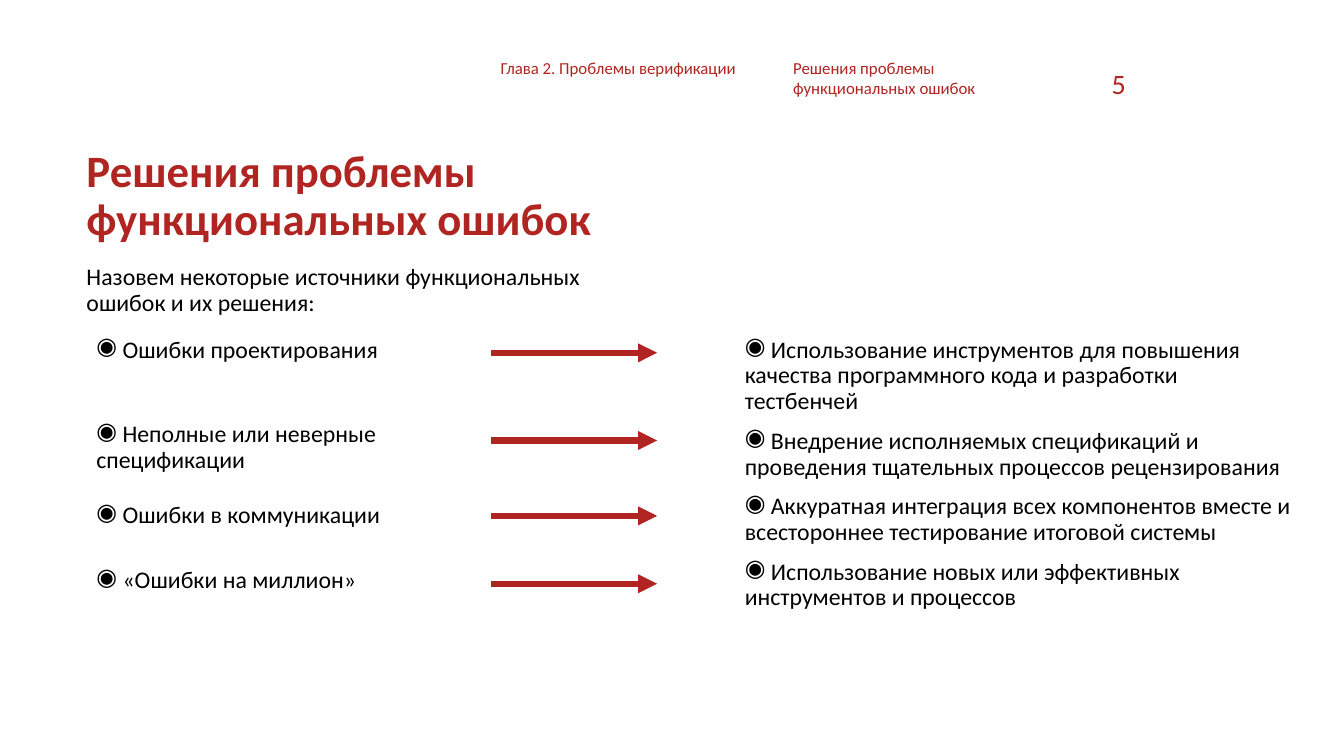
from lxml import etree
from pptx import Presentation
from pptx.dml.color import RGBColor
from pptx.enum.shapes import MSO_CONNECTOR as Connector
from pptx.enum.text import MSO_ANCHOR as Anchor, PP_ALIGN as Align
from pptx.oxml.ns import qn
from pptx.util import Cm, Pt

COLORS = {"accent": "B02521", "text": "000000"}

# Each cause: its lines and the space before it in points
CAUSES = [
    (["Ошибки проектирования"], 0),
    (["Неполные или неверные", "спецификации"], 42),
    (["Ошибки в коммуникации"], 21),
    (["«Ошибки на миллион»"], 28),
]
SOLUTIONS = [
    "Использование инструментов для повышения качества программного кода "
    "и разработки тестбенчей",
    "Внедрение исполняемых спецификаций и проведения тщательных процессов "
    "рецензирования",
    "Аккуратная интеграция всех компонентов вместе и всестороннее "
    "тестирование итоговой системы",
    "Использование новых или эффективных инструментов и процессов",
]
ARROW_ROWS = [8.89, 11.1, 13.0, 14.71]
TITLE = "Решения проблемы функциональных ошибок"


class SlideBuilder:
    """Adds elements in one style to a slide; lengths are in centimetres."""

    font = "Calibri"
    body_size = 17
    line_spacing = 0.9

    def __init__(self, slide):
        self.s = slide

    def frame(self, x, y, w, h, anchor=Anchor.TOP, inset_y=0.13):
        tf = self.s.shapes.add_textbox(Cm(x), Cm(y), Cm(w), Cm(h)).text_frame
        tf.word_wrap = True
        tf.vertical_anchor = anchor
        tf.margin_left = tf.margin_right = Cm(0.25)
        tf.margin_top = tf.margin_bottom = Cm(inset_y)
        return tf

    def run(self, p, text, size, color, bold=False):
        r = p.add_run()
        r.text = text
        r.font.name = self.font
        r.font.size = Pt(size)
        r.font.bold = bold
        r.font.color.rgb = RGBColor.from_string(COLORS[color])

    def text(self, box, text, size, color="accent", bold=False,
             spacing=1.0, align=Align.LEFT, **frame_options):
        p = self.frame(*box, **frame_options).paragraphs[0]
        p.alignment = align
        p.line_spacing = spacing
        self.run(p, text, size, color, bold)

    def bullet(self, p):
        pPr = p._p.get_or_add_pPr()
        pPr.set("marL", "0")
        pPr.set("indent", str(-Cm(0.3)))
        color = etree.SubElement(pPr, qn("a:buClr"))
        etree.SubElement(color, qn("a:srgbClr"), val=COLORS["text"])
        etree.SubElement(pPr, qn("a:buChar"), char="◉")

    def bullets(self, box, items):
        """Fill a box with (lines, space before) items."""
        tf = self.frame(*box)
        for i, (lines, before) in enumerate(items):
            p = tf.add_paragraph() if i else tf.paragraphs[0]
            self.bullet(p)
            p.line_spacing = self.line_spacing
            if before:
                p.space_before = Pt(before)
            for j, line in enumerate(lines):
                if j:
                    p.add_line_break()
                self.run(p, line if j else " " + line, self.body_size, "text")

    def arrow(self, x1, x2, y):
        c = self.s.shapes.add_connector(
            Connector.STRAIGHT, Cm(x1), Cm(y), Cm(x2), Cm(y))
        c.line.width = Pt(4.5)
        c.line.color.rgb = RGBColor.from_string(COLORS["accent"])
        etree.SubElement(c.line._get_or_add_ln(), qn("a:tailEnd"),
                         type="triangle")
        etree.SubElement(c._element.spPr, qn("a:effectLst"))


def main():
    prs = Presentation()
    prs.slide_width, prs.slide_height = Cm(33.87), Cm(19.05)
    b = SlideBuilder(prs.slides.add_slide(prs.slide_layouts[6]))

    b.text((12.37, 1.32, 6.68, 0.76), "Глава 2. Проблемы верификации", 12)
    b.text((19.74, 1.32, 6.68, 1.27), TITLE, 12)
    b.text((27.71, 1.6, 0.91, 1.02), "5", 20,
           align=Align.RIGHT, anchor=Anchor.MIDDLE)

    b.text((1.93, 3.76, 14.66, 2.41), TITLE, 32, bold=True,
           spacing=b.line_spacing, anchor=Anchor.MIDDLE)
    b.text((1.93, 6.43, 13.13, 1.5),
           "Назовем некоторые источники функциональных ошибок и их решения:",
           b.body_size, "text", spacing=b.line_spacing, inset_y=0.25)

    b.bullets((2.18, 8.38, 11.4, 9.78), CAUSES)
    for y in ARROW_ROWS:
        b.arrow(12.37, 16.56, y)
    b.bullets((18.52, 8.38, 14.35, 9.53),
              [([text], 10 if i else 0) for i, text in enumerate(SOLUTIONS)])

    prs.save("out.pptx")


if __name__ == "__main__":
    main()
